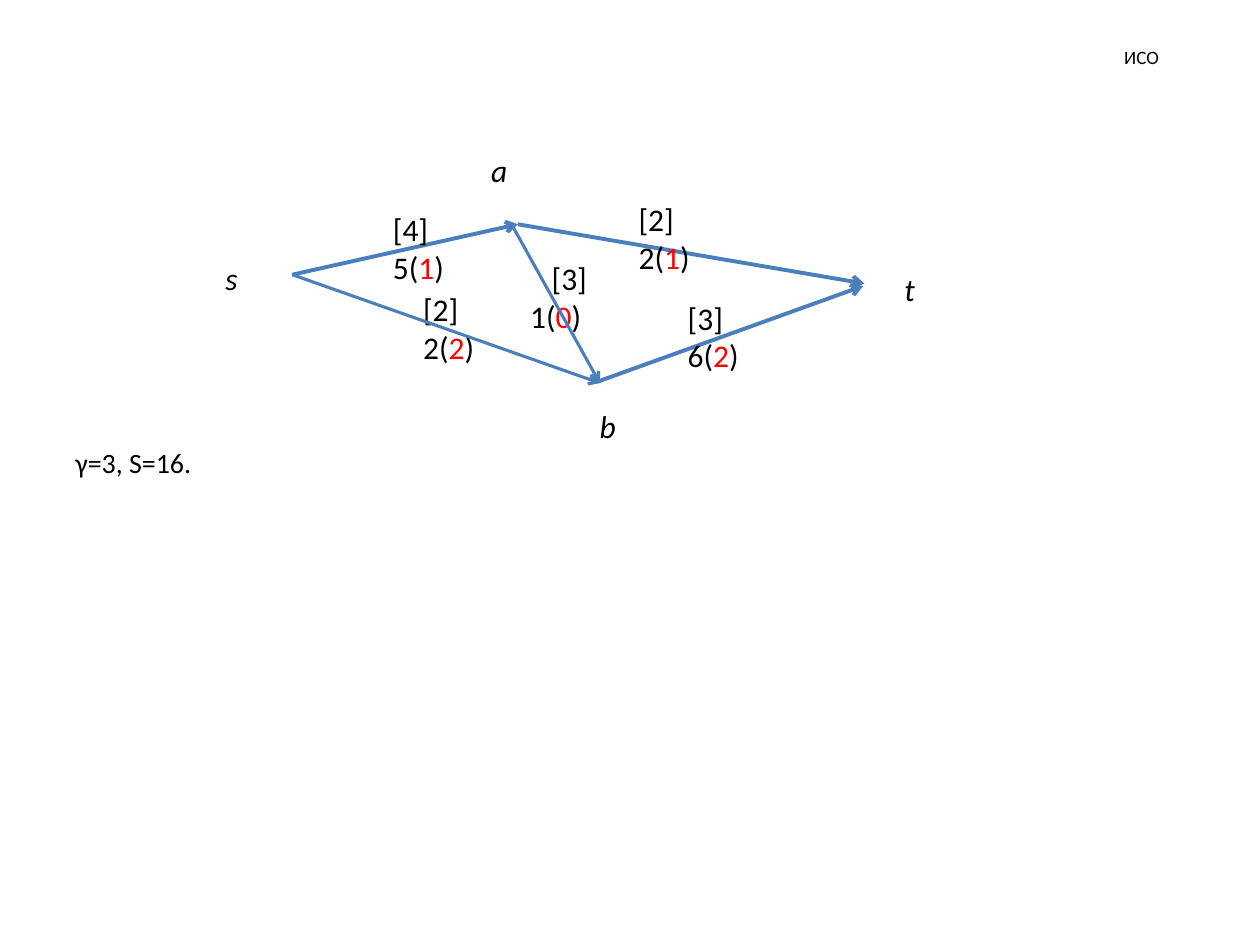
from lxml import etree
from pptx import Presentation
from pptx.dml.color import RGBColor
from pptx.enum.shapes import MSO_CONNECTOR
from pptx.enum.text import MSO_ANCHOR, PP_ALIGN
from pptx.oxml.ns import qn
from pptx.util import Inches, Pt

STRAIGHT = MSO_CONNECTOR.STRAIGHT
MIDDLE, TOP = MSO_ANCHOR.MIDDLE, MSO_ANCHOR.TOP
CENTER, LEFT = PP_ALIGN.CENTER, PP_ALIGN.LEFT
CELL = 0.1
BLACK, RED, BLUE = "000000", "FF0000", "4B7EBC"
NODES = {"s": (0, 8.6), "t": (53.9, 9.4), "a": (21.1, 0), "b": (29.7, 20.3)}
WIDE = [((6.3, 10.3), (24.2, 6.3)), ((24.2, 6.3), (51.7, 11)),
        ((30.5, 18.8), (51.6, 11.2))]
THIN = [((6.3, 10.3), (30.7, 18.9)), ((23.7, 6.3), (30.7, 18.9))]
MARKS = [("[2]", "2", "2", 15.7, 11, 0), ("[3]", "6", "2", 36.7, 11.7, 0),
         ("[2]", "2", "1", 32.8, 3.9, 0), ("[4]", "5", "1", 13.3, 4.7, 0),
         ("[3]", "1", "0", 24.2, 8.6, 1.7)]


def grid(*cells):
    """Turn grid cells into lengths."""
    return [Inches(round(n * CELL, 2)) for n in cells]


def color(code):
    """Turn a hex string into a colour."""
    return RGBColor.from_string(code)


def write(shape, lines, size=18, italic=False, align=LEFT, anchor=TOP, indent=0):
    """Fill a shape with lines of (text, colour) runs."""
    frame = shape.text_frame
    frame.word_wrap = True
    frame.vertical_anchor = anchor
    for row, runs in enumerate(lines):
        para = frame.add_paragraph() if row else frame.paragraphs[0]
        para.alignment = align
        if indent and not row:
            para._p.get_or_add_pPr().set("indent", str(grid(indent)[0]))
        for text, code in runs:
            run = para.add_run()
            run.text = text
            font = run.font
            font.name, font.size, font.italic = "Calibri", Pt(size), italic
            font.color.rgb = color(code)


def label(slide, box, lines, **style):
    """Add a text box at a grid box."""
    write(slide.shapes.add_textbox(*grid(*box)), lines, **style)


def arrow(slide, ends, width):
    """Draw an arrow between two grid points."""
    start, end = ends
    line = slide.shapes.add_connector(STRAIGHT, *grid(*start, *end))
    line.line.color.rgb = color(BLUE)
    line.line.width = Pt(width)
    etree.SubElement(line.line._get_or_add_ln(), qn("a:tailEnd"), type="arrow")
    etree.SubElement(line._element.spPr, qn("a:effectLst"))


def graph(slide, left, top):
    """Draw the flow network from its top left corner."""
    def edges(pairs, width):
        """Draw a set of edges of one width."""
        for pair in pairs:
            arrow(slide, [(left + x, top + y) for x, y in pair], width)

    edges(WIDE, 2.25)
    for name, (x, y) in NODES.items():
        label(slide, (left + x, top + y, 3.9, 4), [[(name, BLACK)]], italic=True)
    for cost, cap, flow, x, y, indent in MARKS:
        lines = [[(cost, BLACK)],
                 [(cap + "(", BLACK), (flow, RED), (")", BLACK)]]
        label(slide, (left + x, top + y, 7, 7.1), lines, indent=indent)
    edges(THIN, 1.75)


def head(slide, box):
    """Place the title in a grid box."""
    title = slide.shapes.title
    title.left, title.top, title.width, title.height = grid(*box)
    write(title, [[("ИСО", BLACK)]], size=10.8, align=CENTER, anchor=MIDDLE)


def main():
    """Build and save the slide."""
    deck = Presentation()
    deck.slide_width, deck.slide_height = grid(100, 75)
    slide = deck.slides.add_slide(deck.slide_layouts[5])
    head(slide, (86.2, 3, 8.8, 3))
    label(slide, (5, 34.9, 90, 3.7), [[("γ=3, S=16.", BLACK)]], size=16)
    graph(slide, 16.9, 11.5)
    deck.save("out.pptx")


if __name__ == "__main__":
    main()
